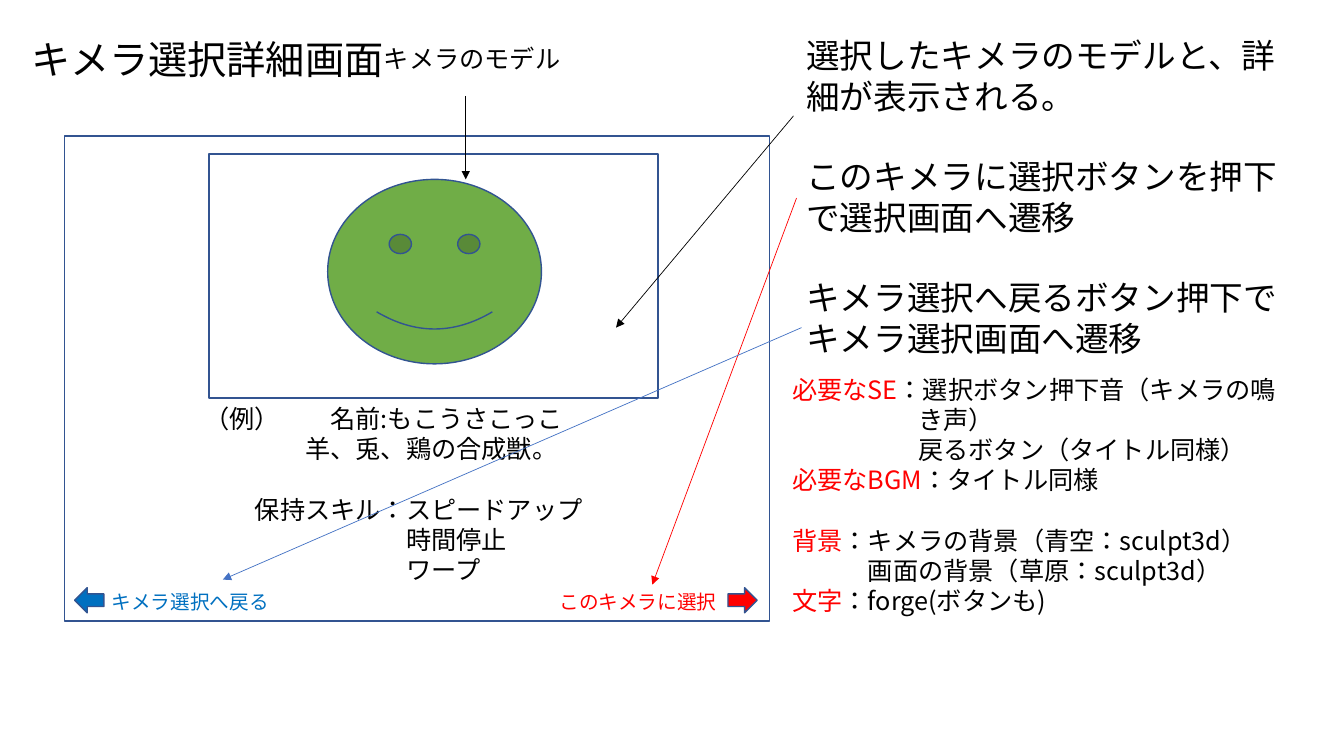
"""Build the chimera selection detail screen slide."""
from dataclasses import dataclass

from lxml.etree import SubElement
from pptx import Presentation
from pptx.dml.color import RGBColor
from pptx.enum.lang import MSO_LANGUAGE_ID as Language
from pptx.enum.shapes import MSO_CONNECTOR as ConnectorKind
from pptx.enum.shapes import MSO_SHAPE as ShapeKind
from pptx.enum.text import MSO_AUTO_SIZE as AutoSize
from pptx.oxml.ns import qn
from pptx.shapes.autoshape import Shape
from pptx.slide import Slide
from pptx.util import Emu, Pt

PX = 9144
FONT = "Noto Sans CJK JP"
LINE_HEIGHT = 1.2
TOP, LEFT = 0, 1
COLORS = {
    "black": "000000",
    "white": "FFFFFF",
    "red": "FF0000",
    "blue": "0070C0",
    "pale_blue": "4472C4",
    "navy": "325491",
    "green": "70AD47",
}


@dataclass(frozen=True)
class Span:
    text: str
    color: str = "black"


@dataclass(frozen=True)
class Para:
    spans: tuple[Span, ...]
    margin: int = 0
    hanging: int = 0
    tab: int = 0
    gap: bool = False


@dataclass(frozen=True)
class TextBlock:
    name: str
    place: tuple[int, int, int, int]
    size: int
    paras: tuple[Para, ...]


@dataclass(frozen=True)
class Figure:
    kind: ShapeKind
    place: tuple[int, int, int, int]
    fill: str | None
    line_width: float = 1


@dataclass(frozen=True)
class Arrow:
    start: tuple[int, int]
    end: tuple[int, int]
    color: str
    start_box: str | None = None
    end_box: str | None = None


def plain(text: str, color: str = "black", margin: int = 0, gap: bool = False) -> Para:
    return Para((Span(text, color),), margin=margin, gap=gap)


def headed(head: str, rest: str, hanging: int = 0, gap: bool = False) -> Para:
    return Para((Span(head, "red"), Span(rest)), hanging, hanging, gap=gap)


FIGURES = (
    Figure(ShapeKind.FLOWCHART_PROCESS, (64, 135, 699, 481), "white"),
    Figure(ShapeKind.SMILEY_FACE, (325, 178, 212, 183), "green"),
    Figure(ShapeKind.RECTANGLE, (207, 153, 446, 242), None, 1.5),
    Figure(ShapeKind.RIGHT_ARROW, (722, 583, 29, 25), "red"),
    Figure(ShapeKind.LEFT_ARROW, (74, 583, 29, 25), "blue"),
)

TEXT_BLOCKS = (
    TextBlock("title", (21, 30, 384, 57), 28, (plain("キメラ選択詳細画面"),)),
    TextBlock("description", (790, 30, 496, 333), 24, (
        plain("選択したキメラのモデルと、詳細が表示される。"),
        plain("このキメラに選択ボタンを押下で選択画面へ遷移", gap=True),
        plain("キメラ選択へ戻るボタン押下でキメラ選択画面へ遷移", gap=True),
    )),
    TextBlock("assets", (776, 366, 522, 252), 18, (
        headed("必要なSE", "：選択ボタン押下音（キメラの鳴き声）", 125),
        plain("戻るボタン（タイトル同様）", margin=125),
        headed("必要なBGM", "：タイトル同様"),
        headed("背景", "：キメラの背景（青空：sculpt3d）", gap=True),
        plain("画面の背景（草原：sculpt3d）", margin=75),
        headed("文字", "：forge(ボタンも)"),
    )),
    TextBlock("example", (193, 395, 441, 192), 18, (
        Para((Span("（例）\t名前:もこうさこっこ"),), tab=125),
        plain("羊、兎、鶏の合成獣。", margin=100),
        plain("保持スキル：スピードアップ", margin=50, gap=True),
        plain("時間停止", margin=200),
        plain("ワープ", margin=200),
    )),
    TextBlock("select", (545, 580, 204, 34), 14, (plain("このキメラに選択", "red"),)),
    TextBlock("model", (371, 38, 196, 40), 18, (plain("キメラのモデル"),)),
    TextBlock("back", (101, 580, 204, 34), 14, (plain("キメラ選択へ戻る", "blue"),)),
)

ARROWS = (
    Arrow((787, 115), (611, 325), "black"),
    Arrow((462, 95), (462, 178), "black"),
    Arrow((790, 196), (647, 580), "red", "description", "select"),
    Arrow((795, 325), (221, 575), "pale_blue"),
)


def px(*lengths: int) -> list[Emu]:
    return [Emu(length * PX) for length in lengths]


def rgb(name: str) -> RGBColor:
    return RGBColor.from_string(COLORS[name])


def draw_figure(page: Slide, figure: Figure) -> None:
    shape = page.shapes.add_shape(figure.kind, *px(*figure.place))
    shape.shadow.inherit = False
    if figure.fill:
        shape.fill.solid()
        shape.fill.fore_color.rgb = rgb(figure.fill)
    else:
        shape.fill.background()
    shape.line.color.rgb = rgb("navy")
    shape.line.width = Pt(figure.line_width)


def draw_text(page: Slide, block: TextBlock) -> Shape:
    box = page.shapes.add_textbox(*px(*block.place))
    frame = box.text_frame
    frame.word_wrap = True
    frame.auto_size = AutoSize.SHAPE_TO_FIT_TEXT
    for index, para in enumerate(block.paras):
        paragraph = frame.add_paragraph() if index else frame.paragraphs[0]
        props = paragraph._p.get_or_add_pPr()
        if para.margin:
            props.set("marL", str(para.margin * PX))
            props.set("indent", str(-para.hanging * PX))
        if para.tab:
            stops = SubElement(props, qn("a:tabLst"))
            SubElement(stops, qn("a:tab"), pos=str(para.tab * PX), algn="l")
        if para.gap:
            paragraph.space_before = Pt(block.size * LINE_HEIGHT)
        for span in para.spans:
            run = paragraph.add_run()
            run.text = span.text
            run.font.size = Pt(block.size)
            run.font.color.rgb = rgb(span.color)
            run.font.language_id = Language.JAPANESE
            run.font.name = FONT
            SubElement(run._r.get_or_add_rPr(), qn("a:ea"), typeface=FONT)
    return box


def draw_arrow(page: Slide, arrow: Arrow, boxes: dict[str, Shape]) -> None:
    line = page.shapes.add_connector(
        ConnectorKind.STRAIGHT, *px(*arrow.start, *arrow.end)
    )
    line.line.color.rgb = rgb(arrow.color)
    line.line.width = Pt(0.5)
    SubElement(line.line._get_or_add_ln(), qn("a:tailEnd"), type="triangle")
    SubElement(line._element.spPr, qn("a:effectLst"))
    if arrow.start_box:
        line.begin_connect(boxes[arrow.start_box], LEFT)
    if arrow.end_box:
        line.end_connect(boxes[arrow.end_box], TOP)


def main() -> None:
    deck = Presentation()
    deck.slide_width, deck.slide_height = px(1333, 750)
    page = deck.slides.add_slide(deck.slide_layouts[6])
    for figure in FIGURES:
        draw_figure(page, figure)
    boxes = {block.name: draw_text(page, block) for block in TEXT_BLOCKS}
    for arrow in ARROWS:
        draw_arrow(page, arrow, boxes)
    deck.save("out.pptx")


if __name__ == "__main__":
    main()
